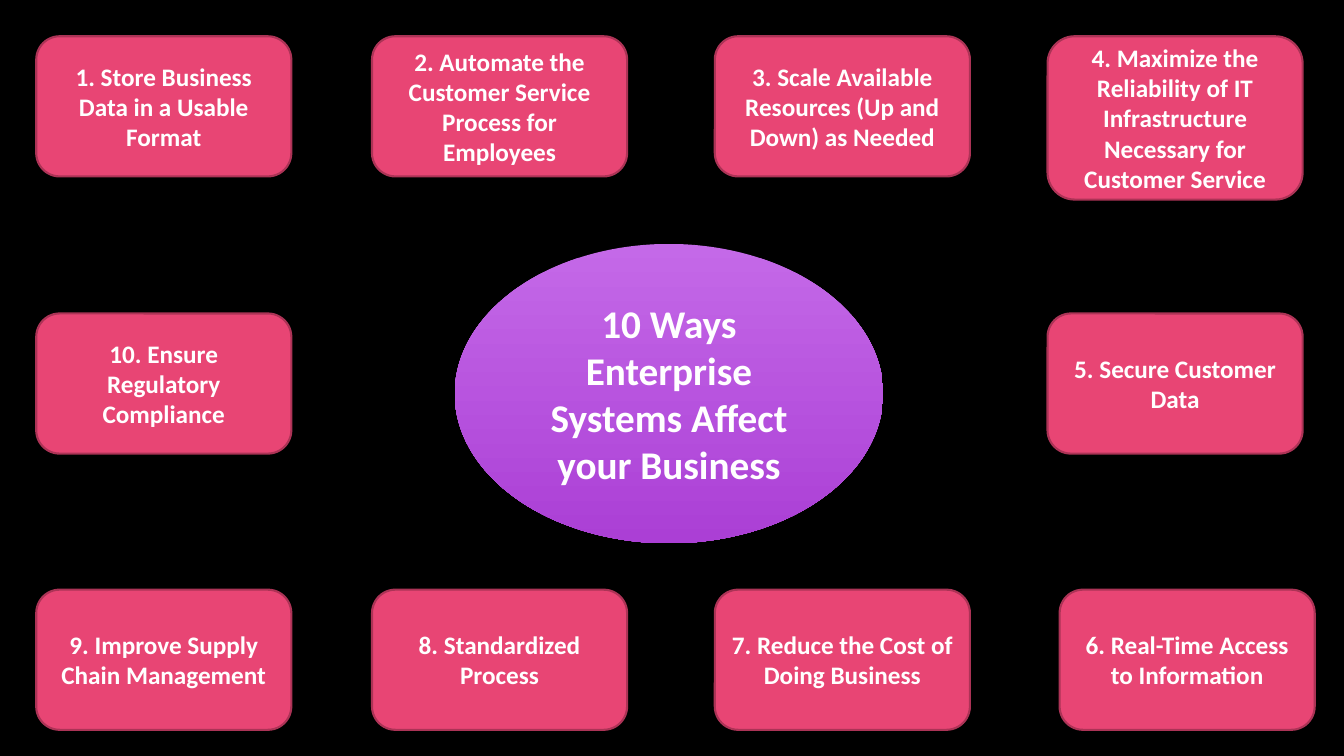
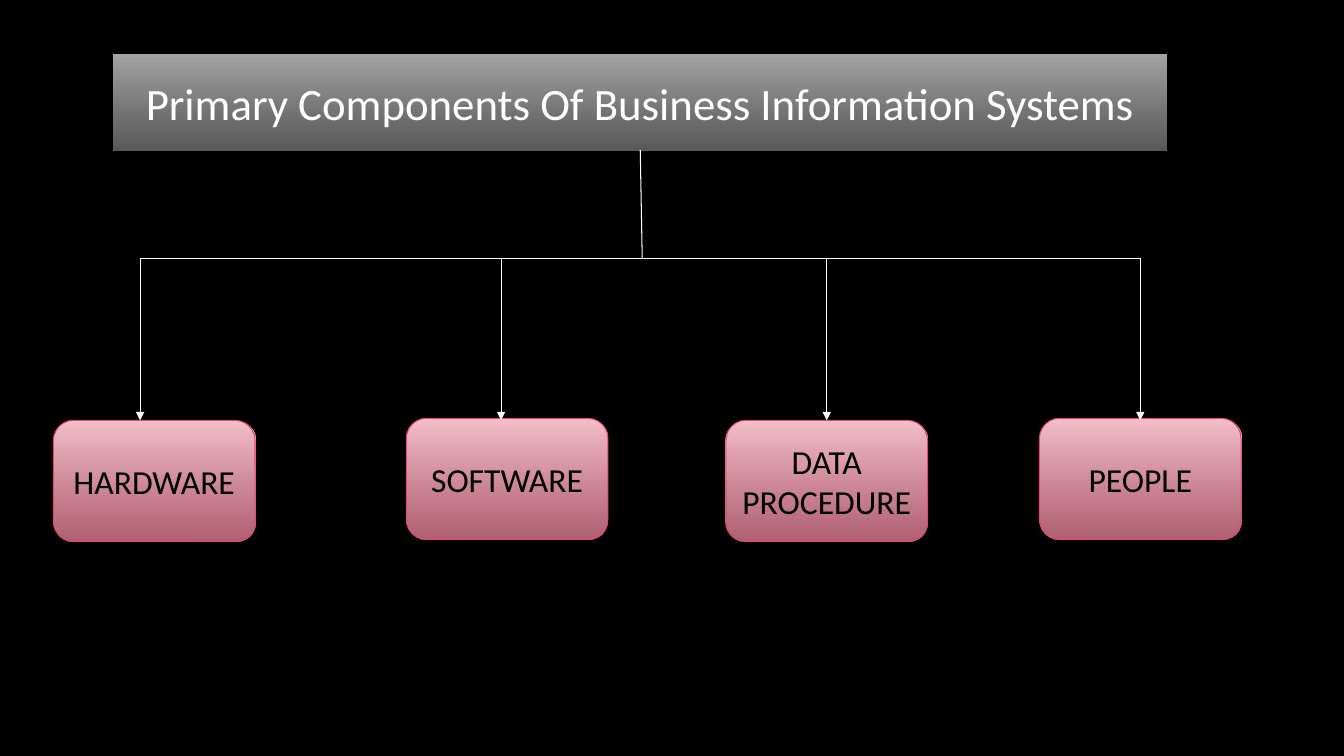
from dataclasses import dataclass
from typing import Optional, Union

from pptx import Presentation
from pptx.dml.color import RGBColor
from pptx.enum.shapes import MSO_CONNECTOR, MSO_SHAPE
from pptx.enum.text import MSO_ANCHOR, PP_ALIGN
from pptx.oxml.ns import qn
from pptx.presentation import Presentation as Deck
from pptx.slide import Slide
from pptx.util import Inches, Pt
from lxml.etree import SubElement

BLACK = RGBColor(0x00, 0x00, 0x00)
WHITE = RGBColor(0xFF, 0xFF, 0xFF)
PINK = RGBColor(0xE8, 0x45, 0x74)
DARK_PINK = RGBColor(0xAC, 0x33, 0x56)
PALE_PINK = RGBColor(0xF5, 0xC1, 0xCB)
ROSE = RGBColor(0xEC, 0x84, 0x9A)
LILAC = RGBColor(0xC4, 0x69, 0xE8)
PURPLE = RGBColor(0xAB, 0x3F, 0xD5)
LIGHT_GREY = RGBColor(0xA6, 0xA6, 0xA6)
GREY = RGBColor(0x79, 0x79, 0x79)
FONT = "Calibri"


@dataclass(frozen=True)
class Gradient:
    top: RGBColor
    bottom: RGBColor
    bottom_opacity: int = 100


@dataclass(frozen=True)
class Style:
    shape: MSO_SHAPE
    fill: Union[RGBColor, Gradient]
    font_size: float
    font_color: RGBColor = WHITE
    bold: bool = False
    line_color: Optional[RGBColor] = None
    line_width: float = 0.75


@dataclass(frozen=True)
class Card:
    text: str
    left: float
    top: float
    height: float


HUB = Style(MSO_SHAPE.OVAL, Gradient(LILAC, PURPLE), 28, bold=True)
WAY = Style(MSO_SHAPE.ROUNDED_RECTANGLE, PINK, 18, bold=True,
            line_color=DARK_PINK, line_width=1.5)
BANNER = Style(MSO_SHAPE.RECTANGLE, Gradient(LIGHT_GREY, GREY, 74), 32, line_color=BLACK)
COMPONENT = Style(MSO_SHAPE.ROUNDED_RECTANGLE, Gradient(PALE_PINK, ROSE, 74), 24, BLACK,
                  line_color=PINK)

WAY_WIDTH, WAY_HEIGHT = 2.53, 1.39
COLUMNS = (0.36, 3.69, 7.09, 10.39)
TOP_ROW, MIDDLE_ROW, BOTTOM_ROW = 0.36, 3.11, 5.85
WAYS = (
    Card("1. Store Business Data in a Usable Format", COLUMNS[0], TOP_ROW, WAY_HEIGHT),
    Card("2. Automate the Customer Service Process for Employees",
         COLUMNS[1], TOP_ROW, WAY_HEIGHT),
    Card("3. Scale Available Resources (Up and Down) as Needed",
         COLUMNS[2], TOP_ROW, WAY_HEIGHT),
    Card("4. Maximize the Reliability of IT Infrastructure Necessary for Customer Service",
         COLUMNS[3], TOP_ROW, 1.62),
    Card("5. Secure Customer Data", COLUMNS[3], MIDDLE_ROW, WAY_HEIGHT),
    Card("6. Real-Time Access to Information", 10.51, BOTTOM_ROW, WAY_HEIGHT),
    Card("7. Reduce the Cost of Doing Business", COLUMNS[2], BOTTOM_ROW, WAY_HEIGHT),
    Card("8. Standardized Process", COLUMNS[1], BOTTOM_ROW, WAY_HEIGHT),
    Card("9. Improve Supply Chain Management", COLUMNS[0], BOTTOM_ROW, WAY_HEIGHT),
    Card("10. Ensure Regulatory Compliance", COLUMNS[0], MIDDLE_ROW, WAY_HEIGHT),
)

COMPONENT_WIDTH, COMPONENT_HEIGHT = 2, 1.2
COMPONENTS = (
    Card("HARDWARE", 0.53, 4.17, COMPONENT_HEIGHT),
    Card("SOFTWARE", 4.03, 4.15, COMPONENT_HEIGHT),
    Card("DATA PROCEDURE", 7.2, 4.17, COMPONENT_HEIGHT),
    Card("PEOPLE", 10.31, 4.15, COMPONENT_HEIGHT),
)
BRANCHES = (1.39, 4.97, 8.2, 11.31)
BRANCH_TOP, BRANCH_BOTTOM = 2.56, 4.17


def add_black_page(deck: Deck) -> Slide:
    page = deck.slides.add_slide(deck.slide_layouts[6])
    page.background.fill.solid()
    page.background.fill.fore_color.rgb = BLACK
    return page


def fill_gradient(box, gradient: Gradient) -> None:
    box.fill.gradient()
    box.fill.gradient_angle = 270
    first, last = box.fill.gradient_stops
    first.color.rgb = gradient.top
    last.color.rgb = gradient.bottom
    if gradient.bottom_opacity < 100:
        color = box._element.spPr.findall(".//" + qn("a:srgbClr"))[1]
        SubElement(color, qn("a:alpha"), val=str(gradient.bottom_opacity * 1000))


def add_box(page: Slide, style: Style, text: str,
            left: float, top: float, width: float, height: float) -> None:
    box = page.shapes.add_shape(style.shape, Inches(left), Inches(top),
                                Inches(width), Inches(height))
    box.shadow.inherit = False
    if isinstance(style.fill, Gradient):
        fill_gradient(box, style.fill)
    else:
        box.fill.solid()
        box.fill.fore_color.rgb = style.fill
    if style.line_color is None:
        box.line.fill.background()
    else:
        box.line.color.rgb = style.line_color
        box.line.width = Pt(style.line_width)

    frame = box.text_frame
    frame.word_wrap = True
    frame.vertical_anchor = MSO_ANCHOR.MIDDLE
    frame.text = text
    para = frame.paragraphs[0]
    para.alignment = PP_ALIGN.CENTER
    para.font.name = FONT
    para.font.size = Pt(style.font_size)
    para.font.bold = style.bold
    para.font.color.rgb = style.font_color


def add_line(page: Slide, x1: float, y1: float, x2: float, y2: float,
             arrow: bool = False) -> None:
    connector = page.shapes.add_connector(MSO_CONNECTOR.STRAIGHT, Inches(x1), Inches(y1),
                                          Inches(x2), Inches(y2))
    connector.line.color.rgb = WHITE
    connector.line.width = Pt(0.75)
    properties = connector._element.spPr
    if arrow:
        SubElement(properties.find(qn("a:ln")), qn("a:tailEnd"), type="triangle")
    SubElement(properties, qn("a:effectLst"))


def add_cards(page: Slide, style: Style, cards: tuple[Card, ...], width: float) -> None:
    for card in cards:
        add_box(page, style, card.text, card.left, card.top, width, card.height)


def build_ways(deck: Deck) -> None:
    page = add_black_page(deck)
    add_box(page, HUB, "10 Ways Enterprise Systems Affect your Business",
            4.51, 2.42, 4.25, 2.97)
    add_cards(page, WAY, WAYS, WAY_WIDTH)


def build_components(deck: Deck) -> None:
    page = add_black_page(deck)
    add_box(page, BANNER, "Primary Components Of Business Information Systems",
            1.12, 0.53, 10.46, 0.97)
    add_cards(page, COMPONENT, COMPONENTS, COMPONENT_WIDTH)
    add_line(page, 6.35, 1.49, 6.37, BRANCH_TOP)
    add_line(page, BRANCHES[0], BRANCH_TOP, BRANCHES[-1], BRANCH_TOP)
    for branch in BRANCHES:
        add_line(page, branch, BRANCH_TOP, branch, BRANCH_BOTTOM, arrow=True)


def main() -> None:
    deck = Presentation()
    deck.slide_width = Inches(13.33)
    deck.slide_height = Inches(7.5)
    build_ways(deck)
    build_components(deck)
    deck.save("out.pptx")


if __name__ == "__main__":
    main()
